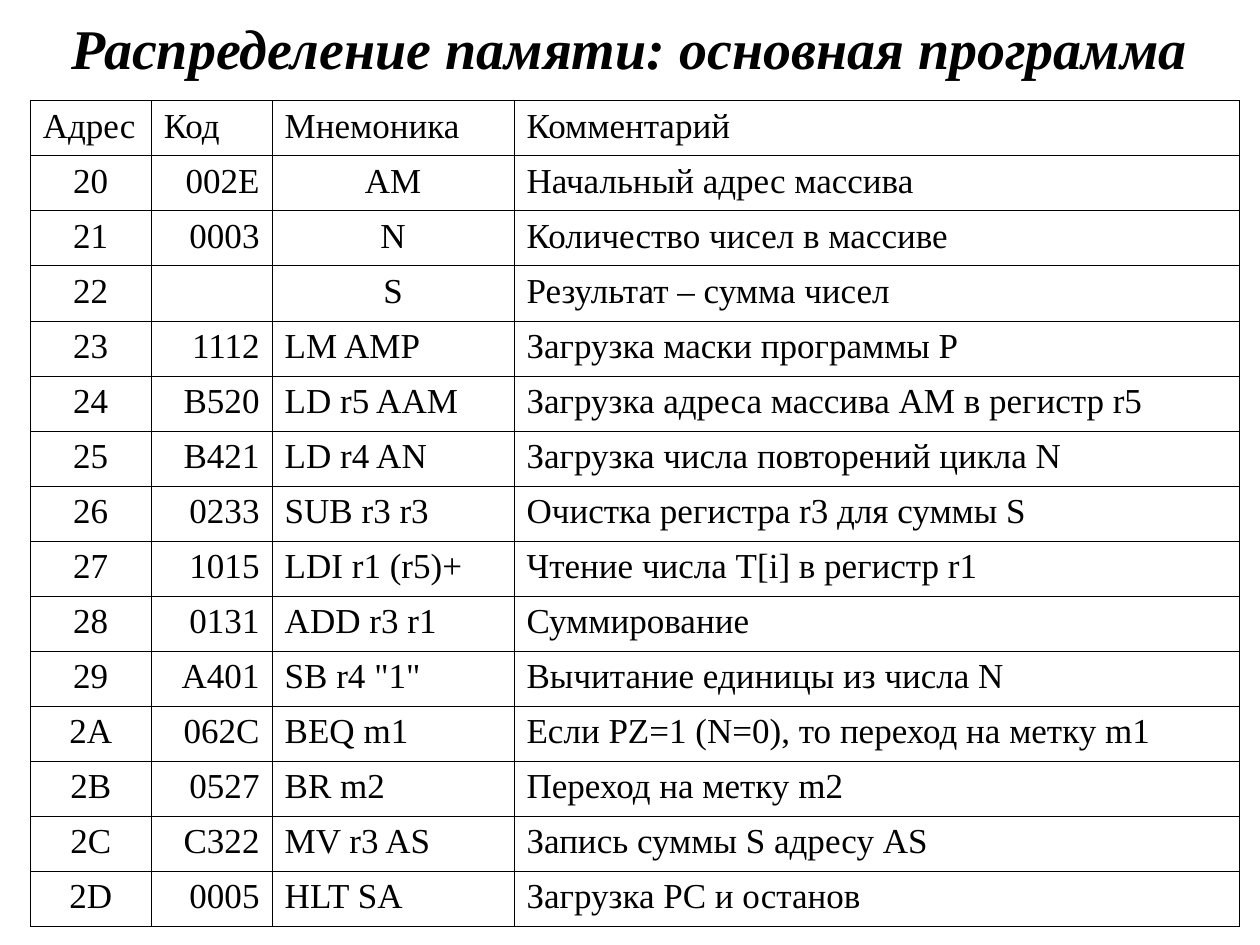
from lxml.etree import SubElement
from pptx import Presentation
from pptx.dml.color import RGBColor
from pptx.enum.text import MSO_ANCHOR, MSO_AUTO_SIZE, PP_ALIGN
from pptx.oxml.ns import qn
from pptx.util import Inches, Pt

TITLE = "Распределение памяти: основная программа"
HEADERS = ("Адрес", "Код", "Мнемоника", "Комментарий")
FIRST_ADDRESS = 0x20
DATA_WORDS = 3
MEMORY = (
    ("002E", "AM", "Начальный адрес массива"),
    ("0003", "N", "Количество чисел в массиве"),
    ("", "S", "Результат – сумма чисел"),
    ("1112", "LM AMP", "Загрузка маски программы P"),
    ("B520", "LD r5 AAM", "Загрузка адреса массива AM в регистр r5"),
    ("B421", "LD r4 AN", "Загрузка числа повторений цикла N"),
    ("0233", "SUB r3 r3", "Очистка регистра r3 для суммы S"),
    ("1015", "LDI r1 (r5)+", "Чтение числа T[i] в регистр r1"),
    ("0131", "ADD r3 r1", "Суммирование"),
    ("A401", 'SB r4 "1"', "Вычитание единицы из числа N"),
    ("062C", "BEQ m1", "Если PZ=1 (N=0), то переход на метку m1"),
    ("0527", "BR m2", "Переход на метку m2"),
    ("C322", "MV r3 AS", "Запись суммы S адресу AS"),
    ("0005", "HLT SA", "Загрузка PC и останов"),
)
COLUMN_SPANS = (1, 1, 2, 6)


def color(value):
    return RGBColor.from_string(value)


class MemorySlide:
    font_name = "Times New Roman"
    ink = "000000"
    paper = "FFFFFF"
    border_width = Pt(0.45)
    column_width = Inches(0.96)
    row_height = Inches(6.55 / 15)

    def __init__(self, presentation):
        self.slide = presentation.slides.add_slide(presentation.slide_layouts[5])
        self.slide.background.fill.solid()
        self.slide.background.fill.fore_color.rgb = color(self.paper)

    def format_text(self, text_frame, size, alignment, emphasis=False):
        for paragraph in text_frame.paragraphs:
            paragraph.alignment = alignment
            for run in paragraph.runs:
                run.font.name = self.font_name
                run.font.size = Pt(size)
                run.font.bold = run.font.italic = emphasis
                run.font.color.rgb = color(self.ink)

    def title(self, text, left, top, columns, rows):
        shape = self.slide.shapes.title
        shape.left, shape.top = Inches(left), Inches(top)
        shape.width = int(columns * self.column_width)
        shape.height = int(rows * self.row_height)
        text_frame = shape.text_frame
        text_frame.text = text
        text_frame.auto_size = MSO_AUTO_SIZE.NONE
        text_frame.vertical_anchor = MSO_ANCHOR.MIDDLE
        self.format_text(text_frame, 32, PP_ALIGN.CENTER, emphasis=True)

    def table(self, records, alignments, spans, left, top):
        table = self.slide.shapes.add_table(
            len(records), len(spans), Inches(left), Inches(top),
            sum(spans) * self.column_width, len(records) * self.row_height,
        ).table
        table.first_row = table.horz_banding = False
        for column, span in zip(table.columns, spans):
            column.width = span * self.column_width
        for row, record, row_alignments in zip(table.rows, records, alignments):
            row.height = self.row_height
            for cell, text, alignment in zip(row.cells, record, row_alignments):
                self.cell(cell, text, alignment)

    def cell(self, cell, text, alignment):
        cell.text_frame.text = text
        self.format_text(cell.text_frame, 20, alignment)
        self.borders(cell)
        cell.fill.solid()
        cell.fill.fore_color.rgb = color(self.paper)

    def borders(self, cell):
        properties = cell._tc.get_or_add_tcPr()
        for side in ("a:lnL", "a:lnR", "a:lnT", "a:lnB"):
            line = SubElement(properties, qn(side), w=str(self.border_width))
            fill = SubElement(line, qn("a:solidFill"))
            SubElement(fill, qn("a:srgbClr"), val=self.ink)


def main():
    presentation = Presentation()
    presentation.slide_width = Inches(10)
    presentation.slide_height = Inches(7.5)

    words = [
        (f"{address:X}", *word)
        for address, word in enumerate(MEMORY, FIRST_ADDRESS)
    ]
    center, right, justify = PP_ALIGN.CENTER, PP_ALIGN.RIGHT, PP_ALIGN.JUSTIFY
    header_row = (justify,) * len(HEADERS)
    data_row = (center, right, center, justify)
    command_row = (center, right, justify, justify)
    command_count = len(words) - DATA_WORDS
    alignments = [header_row] + [data_row] * DATA_WORDS + [command_row] * command_count

    memory_slide = MemorySlide(presentation)
    memory_slide.title(TITLE, left=0.2, top=0.05, columns=10, rows=1.5)
    memory_slide.table([HEADERS] + words, alignments, COLUMN_SPANS, left=0.24, top=0.8)
    presentation.save("out.pptx")


if __name__ == "__main__":
    main()
